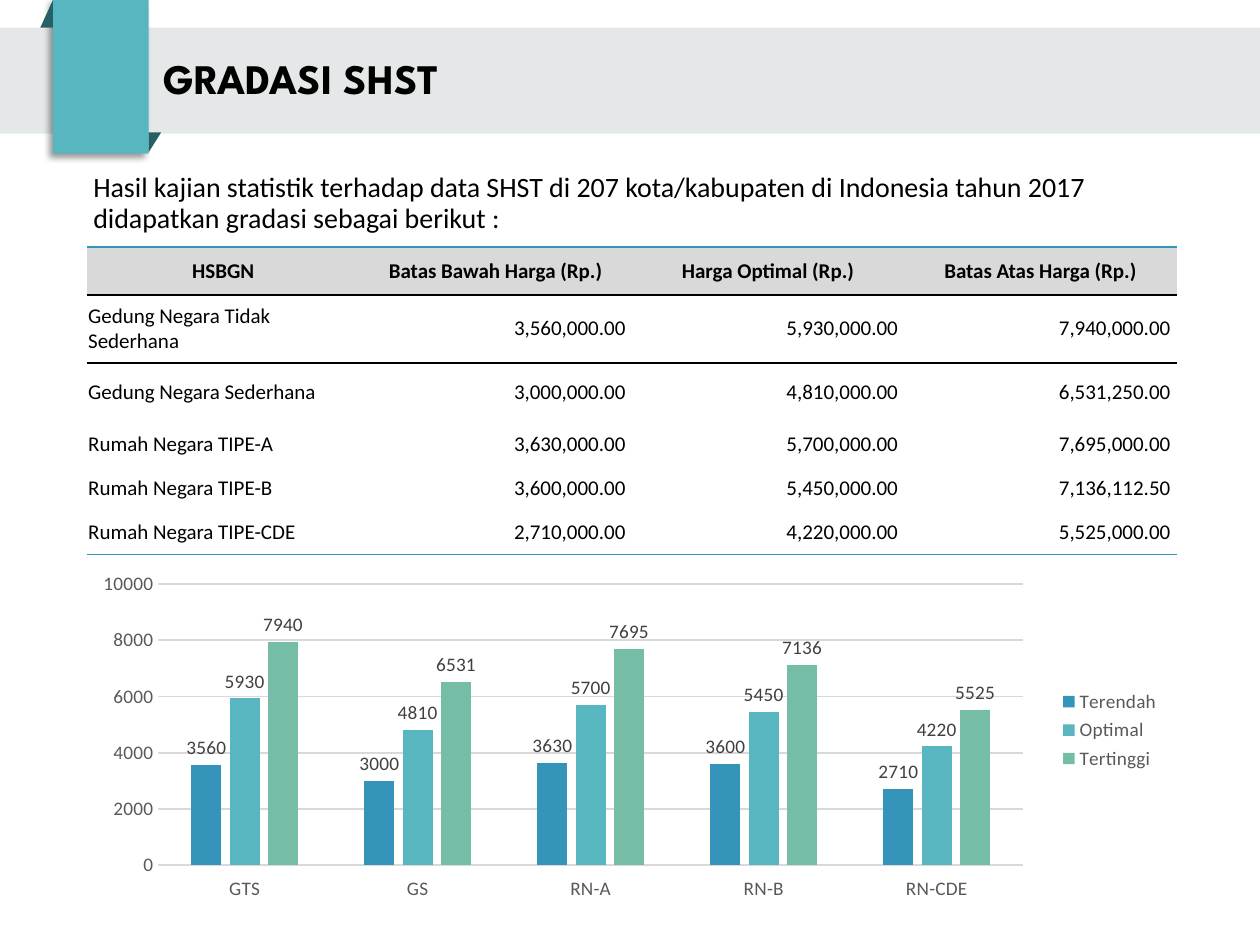
from dataclasses import dataclass

from lxml.etree import SubElement
from pptx import Presentation
from pptx.chart.data import CategoryChartData
from pptx.dml.color import RGBColor
from pptx.enum.chart import (XL_CHART_TYPE, XL_LABEL_POSITION, XL_LEGEND_POSITION,
                             XL_TICK_LABEL_POSITION, XL_TICK_MARK)
from pptx.enum.shapes import MSO_SHAPE
from pptx.enum.text import MSO_ANCHOR, MSO_AUTO_SIZE, PP_ALIGN
from pptx.oxml import parse_xml
from pptx.oxml.ns import nsdecls, qn
from pptx.util import Inches, Pt


@dataclass(frozen=True)
class Theme:
    black: str = "000000"
    band: str = "E4E8E8"
    teal: str = "58B6C0"
    fold: str = "266066"
    blue: str = "3494BA"
    green: str = "75BDA7"
    grey: str = "D9D9D9"
    axis: str = "595959"
    label: str = "404040"
    title_font: str = "League Spartan"
    body_font: str = "Calibri"
    title_size: int = 24
    body_size: int = 16
    table_size: int = 12
    chart_size: int = 11


T = Theme()
NO_TABLE_STYLE = "{2D5ABB26-0587-4C30-8999-92F81FD0307C}"

TABLE = [
    ("HSBGN", "Batas Bawah Harga (Rp.)", "Harga Optimal (Rp.)", "Batas Atas Harga (Rp.)"),
    ("Gedung Negara Tidak Sederhana", "3,560,000.00", "5,930,000.00", "7,940,000.00"),
    ("Gedung Negara Sederhana", "3,000,000.00", "4,810,000.00", "6,531,250.00"),
    ("Rumah Negara TIPE-A", "3,630,000.00", "5,700,000.00", "7,695,000.00"),
    ("Rumah Negara TIPE-B", "3,600,000.00", "5,450,000.00", "7,136,112.50"),
    ("Rumah Negara TIPE-CDE", "2,710,000.00", "4,220,000.00", "5,525,000.00"),
]
ROW_HEIGHTS = [0.38, 0.54, 0.47, 0.35, 0.35, 0.35]

CATEGORIES = ["GTS", "GS", "RN-A", "RN-B", "RN-CDE"]
SERIES = [
    ("Terendah", [3560, 3000, 3630, 3600, 2710], T.blue),
    ("Optimal", [5930, 4810, 5700, 5450, 4220], T.teal),
    ("Tertinggi", [7940, 6531, 7695, 7136, 5525], T.green),
]


def rgb(color):
    return RGBColor.from_string(color)


def set_fill(sp, color):
    sp.fill.solid()
    sp.fill.fore_color.rgb = rgb(color)


def style_font(font, size, color, name=T.body_font, bold=False):
    font.size, font.name, font.bold = Pt(size), name, bold
    font.color.rgb = rgb(color)


def add_run(p, text, size, **style):
    r = p.add_run()
    r.text = text
    style_font(r.font, size, T.black, **style)


def set_insets(tf, inset):
    tf.margin_left = tf.margin_right = tf.margin_top = tf.margin_bottom = Inches(inset)


def set_title(slide, text):
    title = slide.shapes.title
    title.left, title.top = Inches(0), Inches(0.22)
    title.width, title.height = Inches(10), Inches(0.84)
    set_fill(title, T.band)
    tf = title.text_frame
    tf.auto_size = MSO_AUTO_SIZE.NONE
    tf.vertical_anchor = MSO_ANCHOR.MIDDLE
    set_insets(tf, 0.05)
    p = tf.paragraphs[0]
    p.alignment, p.line_spacing = PP_ALIGN.LEFT, 0.9
    pPr = p._p.get_or_add_pPr()
    pPr.set("marL", "0")
    pPr.set("indent", str(Inches(1.25)))
    add_run(p, text, T.title_size, name=T.title_font, bold=True)


def add_fold(shapes, points):
    start, *rest = [(Inches(x), Inches(y)) for x, y in points]
    builder = shapes.build_freeform(*start)
    builder.add_line_segments(rest, close=True)
    sp = builder.convert_to_shape()
    set_fill(sp, T.fold)
    sp.line.fill.background()
    sp.shadow.inherit = False


def add_ribbon(slide):
    shapes = slide.shapes.add_group_shape().shapes
    sp = shapes.add_shape(MSO_SHAPE.RECTANGLE, Inches(0.42), Inches(0),
                          Inches(0.76), Inches(1.22))
    set_fill(sp, T.teal)
    sp.line.fill.background()
    sp._element.spPr.append(parse_xml(
        f'<a:effectLst {nsdecls("a")}><a:outerShdw blurRad="{Pt(4)}" dist="{Pt(3)}" '
        f'dir="{135 * 60000}" algn="tr" rotWithShape="0"><a:srgbClr val="{T.black}">'
        '<a:alpha val="40000"/></a:srgbClr></a:outerShdw></a:effectLst>'))
    add_fold(shapes, [(0.42, 0), (0.42, 0.22), (0.32, 0.22)])
    add_fold(shapes, [(1.18, 1.21), (1.18, 1.05), (1.28, 1.05)])


def add_intro(slide, text):
    tf = slide.shapes.add_textbox(Inches(0.69), Inches(1.33),
                                  Inches(8.65), Inches(0.67)).text_frame
    tf.word_wrap = True
    set_insets(tf, 0.05)
    p = tf.paragraphs[0]
    p.line_spacing = 0.9
    add_run(p, text, T.body_size)


def add_border(cell, side, color):
    ln = SubElement(cell._tc.get_or_add_tcPr(), qn(f"a:ln{side}"), w=str(Pt(1)))
    SubElement(SubElement(ln, qn("a:solidFill")), qn("a:srgbClr"), val=color)


def add_price_table(slide):
    rows, cols = len(TABLE), len(TABLE[0])
    frame = slide.shapes.add_table(rows, cols, Inches(0.69), Inches(1.96),
                                   Inches(8.65), Inches(sum(ROW_HEIGHTS)))
    table = frame.table
    table.first_row = table.horz_banding = False
    next(frame._element.iter(qn("a:tableStyleId"))).text = NO_TABLE_STYLE
    for row, height in zip(table.rows, ROW_HEIGHTS):
        row.height = Inches(height)
    # Rules above and below the header, and under the last row
    rules = {0: [("T", T.blue), ("B", T.black)], 1: [("T", T.black)],
             rows - 1: [("B", T.blue)]}
    for i, values in enumerate(TABLE):
        for j, text in enumerate(values):
            cell = table.cell(i, j)
            cell.vertical_anchor = MSO_ANCHOR.MIDDLE
            set_insets(cell, 0.01)
            for side, color in rules.get(i, []):
                add_border(cell, side, color)
            p = cell.text_frame.paragraphs[0]
            if i == 0:
                set_fill(cell, T.grey)
                p.alignment = PP_ALIGN.CENTER
            else:
                cell.fill.background()
                if j > 0:
                    p.alignment = PP_ALIGN.RIGHT
                    cell.margin_right = Inches(0.05)
            add_run(p, text, T.table_size, bold=i == 0)


def set_plot_area(chart, x, y, w, h):
    area = chart._chartSpace.chart.plotArea
    for old in area.findall(qn("c:layout")):
        area.remove(old)
    sizes = "".join(f'<c:{k} val="{v}"/>' for k, v in zip("xywh", (x, y, w, h)))
    area.insert(0, parse_xml(
        f'<c:layout {nsdecls("c")}><c:manualLayout><c:layoutTarget val="inner"/>'
        f'<c:xMode val="edge"/><c:yMode val="edge"/>{sizes}</c:manualLayout></c:layout>'))


def add_price_chart(slide):
    data = CategoryChartData(number_format="0")
    data.categories = CATEGORIES
    for name, values, _ in SERIES:
        data.add_series(name, values)
    chart = slide.shapes.add_chart(XL_CHART_TYPE.COLUMN_CLUSTERED, Inches(0.76), Inches(4.46),
                                   Inches(8.55), Inches(2.69), data).chart
    chart.has_title = False
    style_font(chart.font, T.chart_size, T.axis)
    set_plot_area(chart, 0.058, 0.066, 0.803, 0.835)
    # Columns and their value labels
    plot = chart.plots[0]
    plot.gap_width, plot.overlap, plot.vary_by_categories = 219, -27, False
    for series, (_, _, color) in zip(plot.series, SERIES):
        set_fill(series.format, color)
        labels = series.data_labels
        labels.show_value, labels.position = True, XL_LABEL_POSITION.OUTSIDE_END
        labels.number_format, labels.number_format_is_linked = "0", False
        style_font(labels.font, T.chart_size, T.label)
    # Axes
    cat, val = chart.category_axis, chart.value_axis
    for axis in (cat, val):
        axis.major_tick_mark = axis.minor_tick_mark = XL_TICK_MARK.NONE
        style_font(axis.tick_labels.font, T.chart_size, T.axis)
    cat.tick_label_position = XL_TICK_LABEL_POSITION.LOW
    val.minimum_scale, val.maximum_scale, val.major_unit = 0, 10000, 2000
    val.format.line.fill.background()
    for line in (cat.format.line, val.major_gridlines.format.line):
        line.color.rgb, line.width = rgb(T.grey), Pt(1)
    # Legend
    chart.has_legend = True
    chart.legend.position = XL_LEGEND_POSITION.RIGHT
    chart.legend.include_in_layout = True
    style_font(chart.legend.font, T.chart_size, T.axis)


def main():
    prs = Presentation()
    prs.slide_width, prs.slide_height = Inches(10), Inches(7.5)
    slide = prs.slides.add_slide(prs.slide_layouts[5])
    set_title(slide, "GRADASI SHST")
    add_ribbon(slide)
    add_intro(slide, "Hasil kajian statistik terhadap data SHST di 207 kota/kabupaten "
                     "di Indonesia tahun 2017 didapatkan gradasi sebagai berikut :")
    add_price_chart(slide)
    add_price_table(slide)
    prs.save("out.pptx")


if __name__ == "__main__":
    main()
